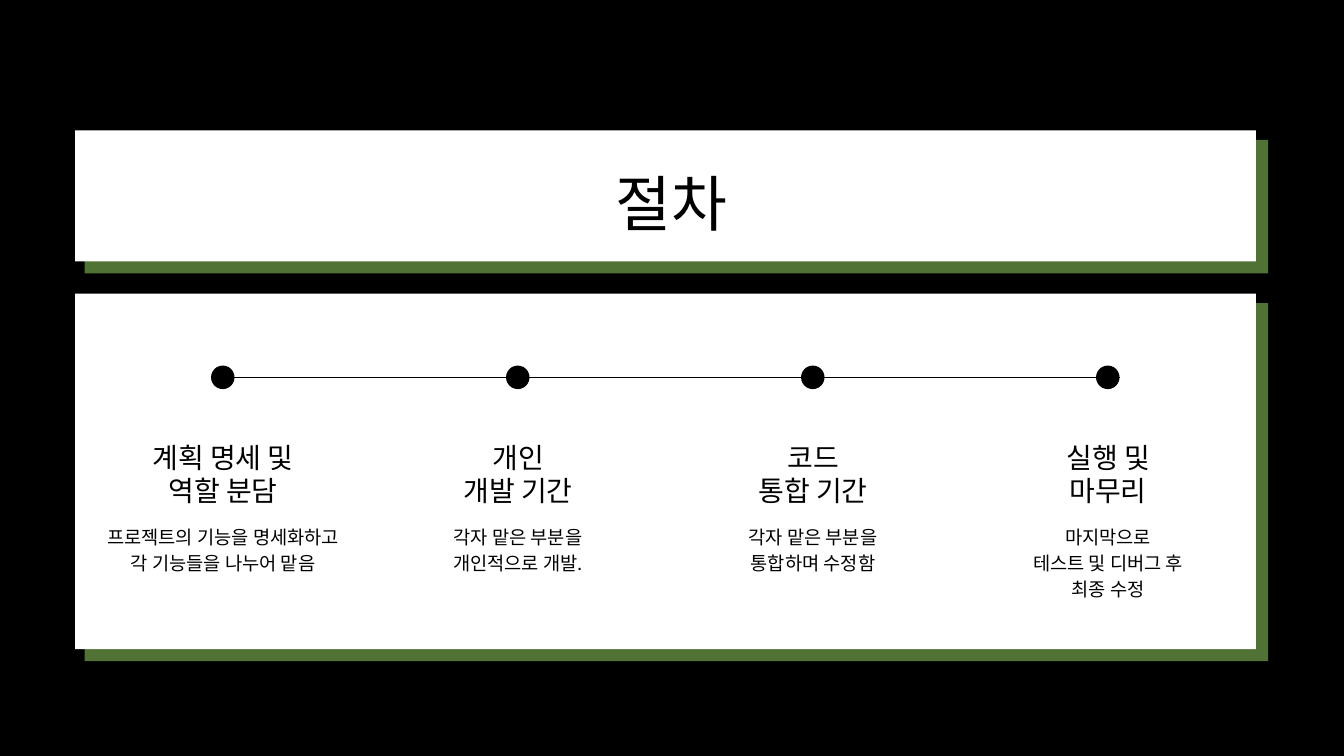
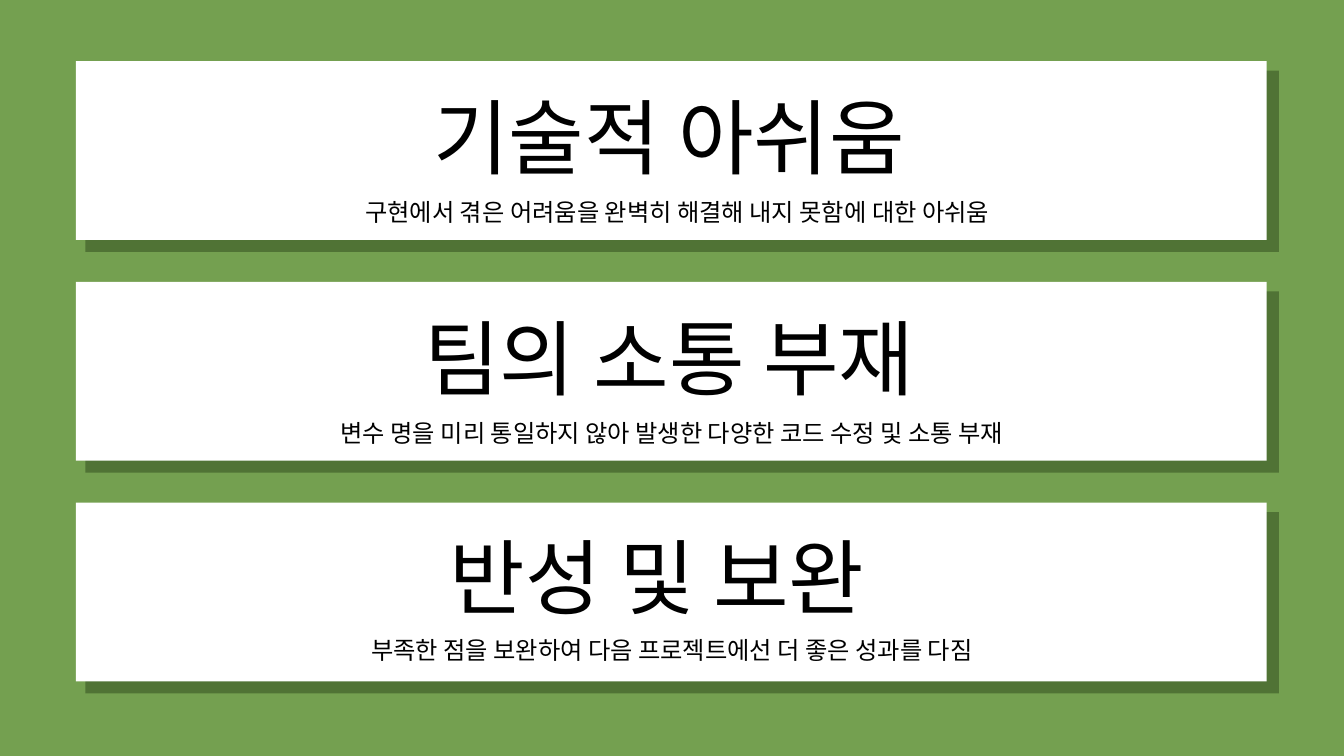
"""Build the procedure timeline slide and the reflections slide."""
from dataclasses import dataclass

from lxml import etree
from pptx import Presentation
from pptx import util as u
from pptx.dml.color import RGBColor
from pptx.enum import shapes, text
from pptx.oxml.ns import qn
from pptx.util import Inches


@dataclass(frozen=True)
class Theme:
    font: str = "Noto Sans CJK KR"
    black: str = "000000"
    white: str = "FFFFFF"
    green: str = "74A050"
    shade: str = "507335"
    title: float = 65
    headline: float = 88
    caption: float = 26
    step: float = 30
    detail: float = 20


@dataclass(frozen=True)
class Area:
    left: float
    top: float
    width: float
    height: float

    def lengths(self) -> tuple:
        return tuple(Inches(side) for side in (self.left, self.top, self.width, self.height))


@dataclass(frozen=True)
class Step:
    name: str
    detail: str


@dataclass(frozen=True)
class Reflection:
    headline: str
    caption: str
    headline_area: Area
    caption_area: Area


THEME = Theme()
SHADOW_OFFSET, SHADOW_GROWTH = 0.14, 0.04
COLUMN_LEFT, COLUMN_WIDTH, COLUMN_PITCH = 1.48, 3.68, 4.39
DOT_LEFT, DOT_TOP, DOT_SIZE = 3.14, 5.44, 0.35
BAND_TOP, BAND_PITCH = 0.91, 3.285

STEPS = (
    Step("계획 명세 및\n역할 분담", "프로젝트의 기능을 명세화하고\n각 기능들을 나누어 맡음"),
    Step("개인\n개발 기간", "각자 맡은 부분을\n개인적으로 개발."),
    Step("코드\n통합 기간", "각자 맡은 부분을\n통합하며 수정함"),
    Step("실행 및\n마무리", "마지막으로\n테스트 및 디버그 후\n최종 수정"),
)

REFLECTIONS = (
    Reflection("기술적 아쉬움", "구현에서 겪은 어려움을 완벽히 해결해 내지 못함에 대한 아쉬움",
               Area(5.08, 1.29, 9.75, 1.46), Area(4.16, 2.94, 11.85, 0.43)),
    Reflection("팀의 소통 부재", "변수 명을 미리 통일하지 않아 발생한 다양한 코드 수정 및 소통 부재",
               Area(4.92, 4.57, 10.08, 1.46), Area(4.08, 6.22, 11.85, 0.43)),
    Reflection("반성 및 보완", "부족한 점을 보완하여 다음 프로젝트에선 더 좋은 성과를 다짐",
               Area(6.23, 7.83, 7.1, 1.46), Area(4.08, 9.46, 11.85, 0.43)),
)


def add_page(deck, color: str):
    page = deck.slides.add_slide(deck.slide_layouts[6])
    page.background.fill.solid()
    page.background.fill.fore_color.rgb = RGBColor.from_string(color)
    return page


def add_solid(page, kind, area: Area, color: str) -> None:
    shape = page.shapes.add_shape(kind, *area.lengths())
    shape.shadow.inherit = False
    shape.fill.solid()
    shape.fill.fore_color.rgb = RGBColor.from_string(color)
    shape.line.fill.background()


def add_panel(page, area: Area) -> None:
    shadow = Area(area.left + SHADOW_OFFSET, area.top + SHADOW_OFFSET,
                  area.width + SHADOW_GROWTH, area.height + SHADOW_GROWTH)
    for part, color in ((shadow, THEME.shade), (area, THEME.white)):
        add_solid(page, shapes.MSO_SHAPE.RECTANGLE, part, color)


def add_text(page, words: str, area: Area, *, size: float, spacing: float = 1.2) -> None:
    box = page.shapes.add_textbox(*area.lengths())
    frame = box.text_frame
    frame.margin_left = frame.margin_top = frame.margin_right = frame.margin_bottom = 0
    frame.word_wrap = True
    frame.auto_size = text.MSO_AUTO_SIZE.SHAPE_TO_FIT_TEXT
    frame.text = words
    for para in frame.paragraphs:
        para.alignment = text.PP_ALIGN.CENTER
        para.line_spacing = u.Pt(size * spacing)
        for span in para.runs:
            span.font.size = u.Pt(size)
            span.font.color.rgb = RGBColor.from_string(THEME.black)
            span.font.name = THEME.font
            etree.SubElement(span.font._element, qn("a:ea"), typeface=THEME.font)


def add_timeline(page) -> None:
    level = Inches(DOT_TOP + DOT_SIZE / 2)
    end = DOT_LEFT + (len(STEPS) - 1) * COLUMN_PITCH + DOT_SIZE
    line = page.shapes.add_connector(shapes.MSO_CONNECTOR.STRAIGHT,
                                     Inches(DOT_LEFT + DOT_SIZE / 2), level, Inches(end), level)
    line.line.color.rgb = RGBColor.from_string(THEME.black)
    line.line.width = u.Pt(0.75)
    etree.SubElement(line._element.spPr, qn("a:effectLst"))
    for index, step in enumerate(STEPS):
        shift = index * COLUMN_PITCH
        left = COLUMN_LEFT + shift
        add_solid(page, shapes.MSO_SHAPE.OVAL,
                  Area(DOT_LEFT + shift, DOT_TOP, DOT_SIZE, DOT_SIZE), THEME.black)
        add_text(page, step.name, Area(left, 6.55, COLUMN_WIDTH, 1), size=THEME.step)
        detail_height = 0.39 * len(step.detail.splitlines())
        add_text(page, step.detail, Area(left, 7.77, COLUMN_WIDTH, detail_height),
                 size=THEME.detail, spacing=1.4)


def build_procedure(deck) -> None:
    page = add_page(deck, THEME.black)
    add_panel(page, Area(1.12, 4.37, 17.57, 5.29))
    add_panel(page, Area(1.12, 1.94, 17.57, 1.95))
    add_text(page, "절차", Area(1.48, 2.47, 17.02, 1.08), size=THEME.title)
    add_timeline(page)


def build_reflections(deck) -> None:
    page = add_page(deck, THEME.green)
    for index, item in enumerate(REFLECTIONS):
        add_panel(page, Area(1.13, BAND_TOP + index * BAND_PITCH, 17.72, 2.66))
        add_text(page, item.headline, item.headline_area, size=THEME.headline)
        add_text(page, item.caption, item.caption_area, size=THEME.caption)


def main() -> None:
    deck = Presentation()
    deck.slide_width, deck.slide_height = Inches(20), Inches(11.25)
    build_procedure(deck)
    build_reflections(deck)
    deck.save("out.pptx")


if __name__ == "__main__":
    main()
